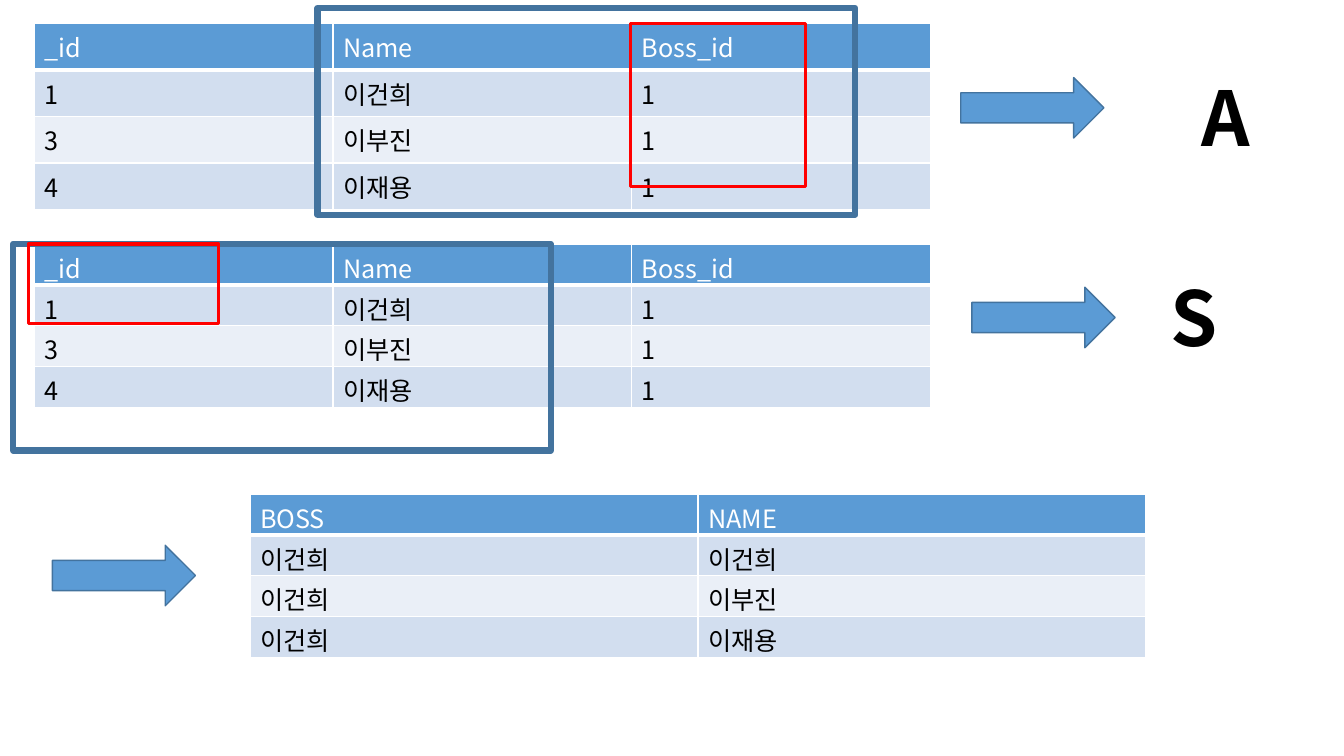
import pptx
import pptx.util
import pptx.dml.color
import pptx.enum.shapes
import pptx.enum.text
import pptx.oxml.ns
import lxml.etree

RGB = pptx.dml.color.RGBColor
SHAPE = pptx.enum.shapes.MSO_SHAPE
BLUE = RGB(0x5B, 0x9B, 0xD5)
NAVY = RGB(0x43, 0x73, 0x9E)
RED = RGB(0xFF, 0, 0)
WHITE = RGB(0xFF, 0xFF, 0xFF)
BLACK = RGB(0, 0, 0)
BANDS = (RGB(0xEA, 0xEF, 0xF7), RGB(0xD2, 0xDE, 0xEF))
FONT = "Noto Sans CJK KR"

STAFF = [("_id", "Name", "Boss_id"), ("1", "이건희", "1"),
         ("3", "이부진", "1"), ("4", "이재용", "1")]
RESULT = [("BOSS", "NAME"), ("이건희", "이건희"),
          ("이건희", "이부진"), ("이건희", "이재용")]
TABLE_SIZE = (66.67, 72)
ARROW_SIZE = (10.65, 26.67)
FRAME_SIZE = (40, 91.11)


def within(box, x, y, w, h):
    """Turn percentages of a box into a left, top, width, height tuple."""
    left, top, width, height = box
    return (int(left + width * x / 100), int(top + height * y / 100),
            int(width * w / 100), int(height * h / 100))


def add_line_xml(parent, tag, color, width):
    """Append a solid line of the given width in points."""
    ln = lxml.etree.SubElement(parent, pptx.oxml.ns.qn(tag), w=str(pptx.util.Pt(width)))
    fill = lxml.etree.SubElement(ln, pptx.oxml.ns.qn("a:solidFill"))
    lxml.etree.SubElement(fill, pptx.oxml.ns.qn("a:srgbClr"), val=str(color))


def add_text(p, text, color, size, bold=False, outline=None):
    """Add a formatted run to a paragraph."""
    r = p.add_run()
    r.text = text
    for name, value in {"size": pptx.util.Pt(size), "bold": bold, "name": FONT}.items():
        setattr(r.font, name, value)
    rpr = r.font._element
    if outline:
        add_line_xml(rpr, "a:ln", outline, 0.75)
        rpr.insert(0, rpr[-1])
    r.font.color.rgb = color
    ea = lxml.etree.Element(pptx.oxml.ns.qn("a:ea"), typeface=FONT)
    rpr.find(pptx.oxml.ns.qn("a:latin")).addnext(ea)


def add_grid(slide, box, rows, bottom):
    """Add a banded table with a blue header row."""
    table = slide.shapes.add_table(len(rows), len(rows[0]), *box).table
    for column in table.columns:
        column.width = box[2] // len(rows[0])
    for i, row in enumerate(rows):
        table.rows[i].height = box[3] // len(rows)
        for j, text in enumerate(row):
            cell = table.cell(i, j)
            cell.margin_bottom = pptx.util.Inches(bottom)
            add_text(cell.text_frame.paragraphs[0], text, BLACK if i else WHITE, 18)
            tcpr = cell._tc.get_or_add_tcPr()
            for side in "LRTB":
                heavy = i == 0 and side == "B"
                add_line_xml(tcpr, "a:ln" + side, WHITE, 3 if heavy else 1)
            cell.fill.solid()
            cell.fill.fore_color.rgb = BANDS[i % 2] if i else BLUE


def add_outline(slide, box, kind, color, width, fill=None):
    """Add a preset shape with a line and an optional fill."""
    sp = slide.shapes.add_shape(kind, *box)
    sp.shadow.inherit = False
    sp.line.color.rgb = color
    sp.line.width = pptx.util.Pt(width)
    if fill:
        sp.fill.solid()
        sp.fill.fore_color.rgb = fill
    else:
        sp.fill.background()


def add_arrow(slide, box, x, y):
    """Add a blue block arrow at a place in the box."""
    add_outline(slide, within(box, x, y, *ARROW_SIZE), SHAPE.RIGHT_ARROW, NAVY, 1, BLUE)


def add_letter(slide, box, text):
    """Add a large outlined alias letter."""
    tf = slide.shapes.add_textbox(*box).text_frame
    tf.word_wrap = False
    tf.auto_size = pptx.enum.text.MSO_AUTO_SIZE.SHAPE_TO_FIT_TEXT
    p = tf.paragraphs[0]
    p.alignment = pptx.enum.text.PP_ALIGN.CENTER
    add_text(p, text, BLACK, 54, True, WHITE)


def staff_region(slide, box, alias, table_y, arrow, letter, frame, key):
    """Place a staff table, its marked columns, an arrow and its alias."""
    add_grid(slide, within(box, 2.55, table_y, *TABLE_SIZE), STAFF, 0.05)
    add_arrow(slide, box, *arrow)
    add_letter(slide, within(box, *letter), alias)
    add_outline(slide, within(box, *frame, *FRAME_SIZE), SHAPE.RECTANGLE, NAVY, 4.5)
    add_outline(slide, within(box, *key), SHAPE.RECTANGLE, RED, 2.25)


def result_region(slide, box):
    """Place the arrow and the joined table."""
    add_arrow(slide, box, 3.9, 40.44)
    add_grid(slide, within(box, 18.6, 17.78, *TABLE_SIZE), RESULT, 0)


def main():
    """Build the self-join slide and save it."""
    prs = pptx.Presentation()
    prs.slide_width = pptx.util.Inches(13.33)
    prs.slide_height = pptx.util.Inches(7.5)
    slide = prs.slides.add_slide(prs.slide_layouts[6])
    page = (0, 0, prs.slide_width, prs.slide_height)
    top, middle, bottom = (within(page, 0, 30 * i, 100, 30) for i in range(3))
    staff_region(slide, top, "A", 10.22, arrow=(71.49, 34.22),
                 letter=(88.45, 28.89, 5.48, 44.89), frame=(23.63, 3.56),
                 key=(46.89, 10.22, 13.05, 72))
    staff_region(slide, middle, "S", 7.56, arrow=(72.32, 26.67),
                 letter=(86.35, 17.33, 4.73, 44.89), frame=(0.98, 7.56),
                 key=(2.1, 7.56, 14.18, 35.11))
    result_region(slide, bottom)
    prs.save("out.pptx")


main()
